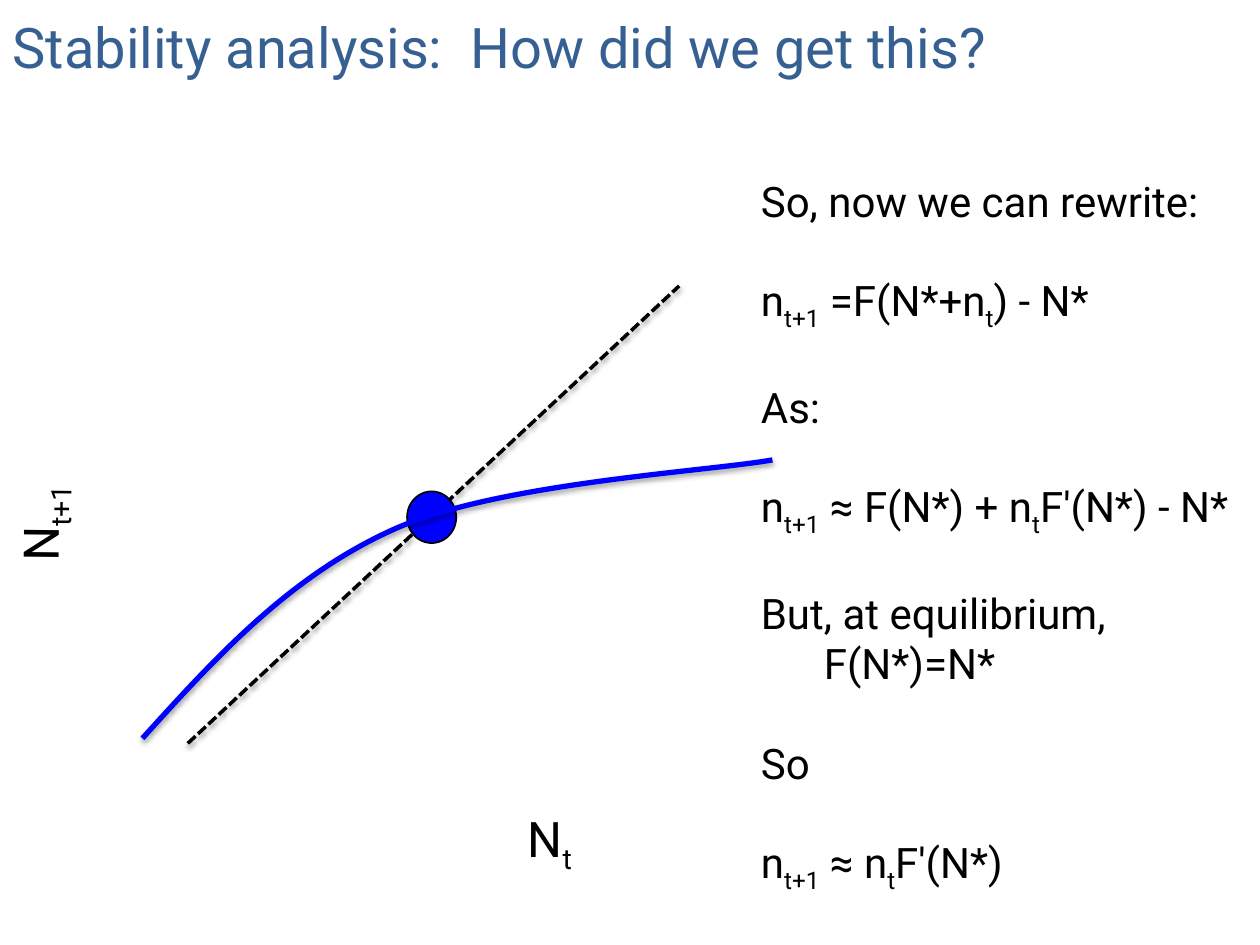
"""Build the stability analysis slide: a map crossing its diagonal, and the derivation."""
from dataclasses import dataclass

from lxml import etree
from pptx import Presentation
from pptx.dml.color import RGBColor
from pptx.enum.dml import MSO_LINE
from pptx.enum.shapes import MSO_CONNECTOR, MSO_SHAPE
from pptx.enum.text import MSO_ANCHOR, MSO_AUTO_SIZE, PP_ALIGN
from pptx.oxml.ns import qn
from pptx.util import Pt

LEFT, CENTER = PP_ALIGN.LEFT, PP_ALIGN.CENTER
TOP = MSO_ANCHOR.TOP
NO_FIT = MSO_AUTO_SIZE.NONE
STRAIGHT = MSO_CONNECTOR.STRAIGHT
OVAL = MSO_SHAPE.OVAL
SHORT_DASH = MSO_LINE.SQUARE_DOT
TITLE_ONLY = 5


@dataclass(frozen=True)
class Theme:
    font: str = "Roboto"
    title: RGBColor = RGBColor(0x37, 0x60, 0x92)
    ink: RGBColor = RGBColor(0, 0, 0)
    curve: RGBColor = RGBColor(0, 0, 0xFF)
    title_size: float = 32
    label_size: float = 28
    body_size: float = 24


@dataclass(frozen=True)
class Frame:
    left: float
    top: float
    width: float
    height: float

    def lengths(self):
        return Pt(self.left), Pt(self.top), Pt(self.width), Pt(self.height)


@dataclass(frozen=True)
class Label:
    text: str
    frame: Frame
    rotation: float = 0


@dataclass(frozen=True)
class Step:
    text: str
    gap: float = 28.1
    indent: float = 0


THEME = Theme()
TITLE = Frame(0, 3.6, 713.5, 46)
DERIVATION = Frame(427.7, 96.5, 292, 443.5)
EQUILIBRIUM = Frame(232.6, 280.8, 28.1, 29.5)
DIAGONAL = ((107.3, 424.8), (388.1, 163.4))
CURVE = ((81.4, 421.9), (123.8, 375.1), (166.3, 328.3), (226.8, 301.7),
         (286.6, 275.8), (405.4, 269.3), (441.4, 262.8))
LABELS = (
    Label("N|t", Frame(293, 458.6, 42.5, 41)),
    Label("N|t+1", Frame(-10.1, 278.6, 65.5, 41), 270.6),
)
STEPS = (
    Step("So, now we can rewrite:", gap=0),
    Step("n|t+1| =F(N*+n|t|) - N*"),
    Step("As:"),
    Step("n|t+1| ≈ F(N*) + n|t|F'(N*) - N*"),
    Step("But, at equilibrium,"),
    Step("F(N*)=N*", gap=0, indent=36),
    Step("So"),
    Step("n|t+1| ≈ n|t|F'(N*)"),
)


def write(para, text: str, *, size: float, color: RGBColor = THEME.ink,
          align=LEFT, gap: float = 0, indent: float = 0) -> None:
    """Write text into a paragraph, lowering every second part between bars."""
    para.alignment = align
    para.space_before = Pt(gap)
    if indent:
        para._p.get_or_add_pPr().set("marL", str(Pt(indent)))
    for index, part in enumerate(text.split("|")):
        if not part:
            continue
        span = para.add_run()
        span.text = part
        span.font.name = THEME.font
        span.font.size = Pt(size)
        span.font.color.rgb = color
        if index % 2:
            span._r.get_or_add_rPr().set("baseline", "-25000")


def add_box(page, frame: Frame, wrap: bool = True):
    """Add an empty text box."""
    box = page.shapes.add_textbox(*frame.lengths())
    box.text_frame.word_wrap = wrap
    return box


def add_title(page, text: str) -> None:
    """Place and fill the title placeholder."""
    box = page.shapes.title
    box.left, box.top, box.width, box.height = TITLE.lengths()
    box.text_frame.vertical_anchor = TOP
    box.text_frame.auto_size = NO_FIT
    write(box.text_frame.paragraphs[0], text, size=THEME.title_size, color=THEME.title)


def add_label(page, label: Label) -> None:
    """Add a centred axis label."""
    box = add_box(page, label.frame, wrap=False)
    box.rotation = label.rotation
    write(box.text_frame.paragraphs[0], label.text, size=THEME.label_size, align=CENTER)


def add_derivation(page, steps: tuple[Step, ...]) -> None:
    """Add the derivation, one paragraph to a step."""
    text_frame = add_box(page, DERIVATION).text_frame
    for index, step in enumerate(steps):
        para = text_frame.add_paragraph() if index else text_frame.paragraphs[0]
        write(para, step.text, size=THEME.body_size, gap=step.gap, indent=step.indent)


def set_line(shape, color: RGBColor, width: float) -> None:
    """Set the line colour and width of a shape."""
    shape.line.color.rgb = color
    shape.line.width = Pt(width)


def add_soft_shadow(shape) -> None:
    """Give a shape a soft shadow straight below it."""
    effects = etree.SubElement(shape.element.spPr, qn("a:effectLst"))
    shadow = etree.SubElement(effects, qn("a:outerShdw"), blurRad=str(Pt(3.1)),
                              dist=str(Pt(1.6)), dir="5400000", rotWithShape="0")
    color = etree.SubElement(shadow, qn("a:srgbClr"), val=str(THEME.ink))
    etree.SubElement(color, qn("a:alpha"), val="38000")


def add_diagonal(page) -> None:
    """Add the dashed line of equal values."""
    start, end = DIAGONAL
    diagonal = page.shapes.add_connector(STRAIGHT, *map(Pt, start + end))
    set_line(diagonal, THEME.ink, 2)
    diagonal.line.dash_style = SHORT_DASH
    add_soft_shadow(diagonal)


def add_equilibrium(page) -> None:
    """Add the dot where the curve meets the diagonal."""
    dot = page.shapes.add_shape(OVAL, *EQUILIBRIUM.lengths())
    dot.shadow.inherit = False
    dot.fill.solid()
    dot.fill.fore_color.rgb = THEME.curve
    set_line(dot, THEME.ink, 1)


def add_curve(page) -> None:
    """Add a smooth curve, turning each three points after the first into a Bezier."""
    start, *controls = [(Pt(x), Pt(y)) for x, y in CURVE]
    builder = page.shapes.build_freeform(*start)
    builder.add_line_segments(controls, close=False)
    curve = builder.convert_to_shape()
    outline = next(curve.element.iter(qn("a:path")))
    segments = outline.findall(qn("a:lnTo"))
    for first in range(0, len(segments), 3):
        bezier = etree.SubElement(outline, qn("a:cubicBezTo"))
        for segment in segments[first:first + 3]:
            bezier.append(segment[0])
            outline.remove(segment)
    curve.fill.background()
    set_line(curve, THEME.curve, 3)
    add_soft_shadow(curve)


def main() -> None:
    """Build and save the deck."""
    deck = Presentation()
    deck.slide_width, deck.slide_height = Pt(720), Pt(540)
    page = deck.slides.add_slide(deck.slide_layouts[TITLE_ONLY])
    add_title(page, "Stability analysis:  How did we get this?")
    for label in LABELS:
        add_label(page, label)
    add_diagonal(page)
    add_equilibrium(page)
    add_curve(page)
    add_derivation(page, STEPS)
    deck.save("out.pptx")


if __name__ == "__main__":
    main()
